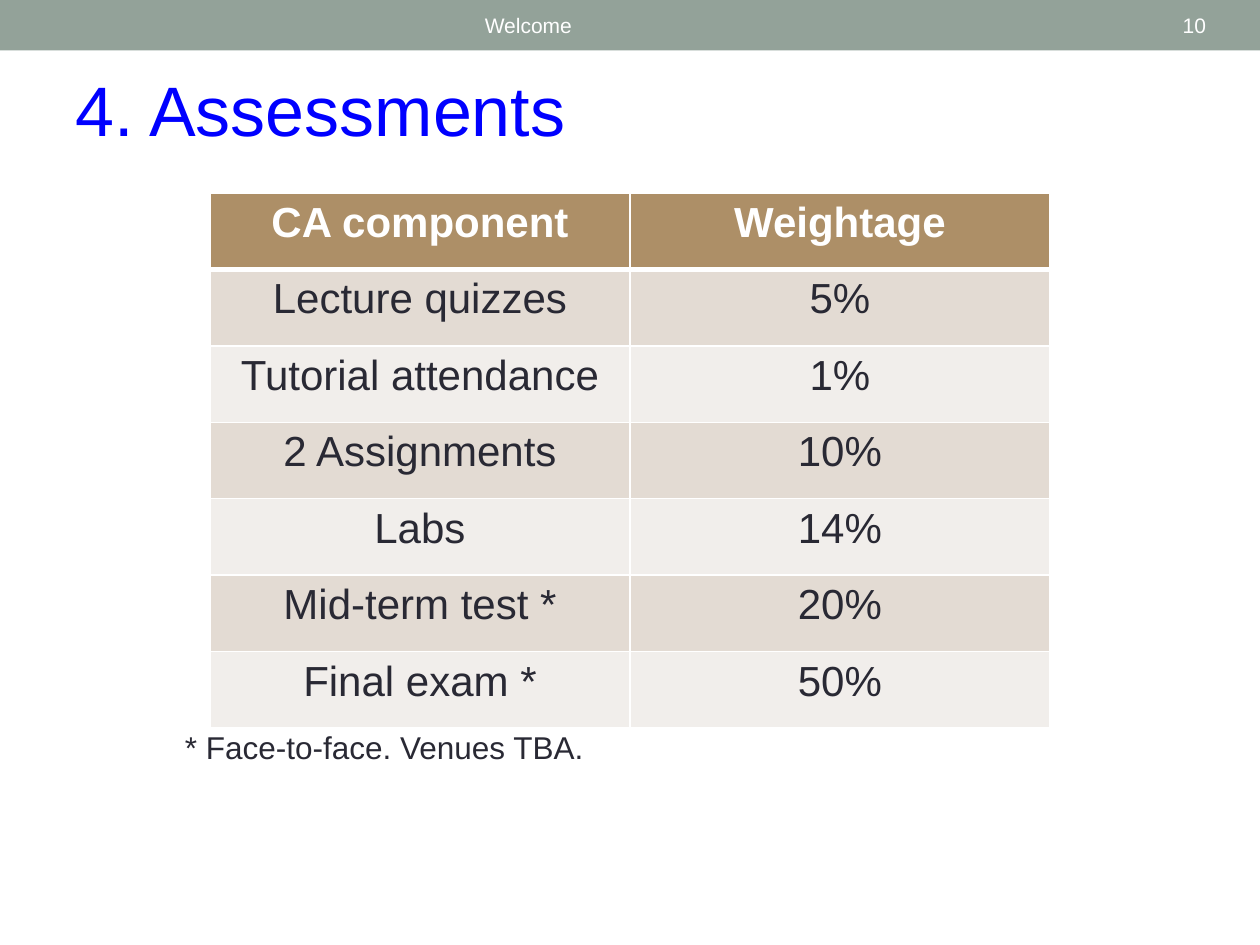
from dataclasses import dataclass

from lxml import etree
from pptx import Presentation
from pptx.dml.color import RGBColor
from pptx.enum.shapes import MSO_SHAPE
from pptx.enum.text import MSO_ANCHOR, PP_ALIGN
from pptx.oxml.ns import qn
from pptx.util import Inches, Pt

LEFT, CENTER, RIGHT = PP_ALIGN.LEFT, PP_ALIGN.CENTER, PP_ALIGN.RIGHT
TOP, MIDDLE = MSO_ANCHOR.TOP, MSO_ANCHOR.MIDDLE
RECTANGLE = MSO_SHAPE.RECTANGLE

WIDTH, HEIGHT = 10, 7.5
FONT = "Arial"
WHITE, INK, BLUE = "FFFFFF", "292934", "0000FF"
SAGE, BROWN = "93A299", "AD8F67"
BANDS = ("E3DBD3", "F1EEEB")

# The table spans the middle four of six slide columns
COLUMN = WIDTH / 6
TABLE_TOP, ROW_HEIGHT = 1.53, 4.25 / 7
ASSESSMENTS = [
    ("CA component", "Weightage"),
    ("Lecture quizzes", "5%"),
    ("Tutorial attendance", "1%"),
    ("2 Assignments", "10%"),
    ("Labs", "14%"),
    ("Mid-term test *", "20%"),
    ("Final exam *", "50%"),
]


@dataclass
class Label:
    text: str
    left: float
    top: float
    width: float
    height: float
    size: float
    color: str
    align: PP_ALIGN = LEFT
    anchor: MSO_ANCHOR = TOP


LABELS = [
    Label("Welcome", 3.75, 0.02, 4.5, 0.36, 12, WHITE, anchor=MIDDLE),
    Label("10", 8.48, 0.02, 1.19, 0.36, 12, WHITE, RIGHT, MIDDLE),
    Label("4. Assessments", 0.5, 0.48, 9, 0.77, 40, BLUE),
    Label("* Face-to-face. Venues TBA.", 1.37, 5.73, 7.57, 0.4, 18, INK),
]


def paint(fill, color: str) -> None:
    fill.solid()
    fill.fore_color.rgb = RGBColor.from_string(color)


def write(frame, text: str, size: float, color: str,
          align: PP_ALIGN, bold: bool = False) -> None:
    frame.text = text
    para = frame.paragraphs[0]
    para.alignment = align
    font = para.runs[0].font
    font.name, font.size, font.bold = FONT, Pt(size), bold
    font.color.rgb = RGBColor.from_string(color)


def add_label(page, label: Label) -> None:
    box = page.shapes.add_textbox(
        Inches(label.left), Inches(label.top), Inches(label.width), Inches(label.height))
    frame = box.text_frame
    frame.word_wrap = True
    frame.vertical_anchor = label.anchor
    write(frame, label.text, label.size, label.color, label.align)


def add_border(cell, side: str, points: float) -> None:
    properties = cell._tc.get_or_add_tcPr()
    line = etree.SubElement(properties, qn(f"a:ln{side}"), w=str(Pt(points)))
    fill = etree.SubElement(line, qn("a:solidFill"))
    etree.SubElement(fill, qn("a:srgbClr"), val=WHITE)


def add_assessment_table(page) -> None:
    row_count, column_count = len(ASSESSMENTS), len(ASSESSMENTS[0])
    table = page.shapes.add_table(
        row_count, column_count, Inches(COLUMN), Inches(TABLE_TOP),
        Inches(2 * COLUMN * column_count), Inches(ROW_HEIGHT * row_count)).table
    for row, values in enumerate(ASSESSMENTS):
        header = row == 0
        for column, value in enumerate(values):
            cell = table.cell(row, column)
            # A thick rule parts the header from the first row
            for side in "LRTB":
                thick = (row, side) in ((0, "B"), (1, "T"))
                add_border(cell, side, 3 if thick else 1)
            paint(cell.fill, BROWN if header else BANDS[(row - 1) % 2])
            write(cell.text_frame, value, 24, WHITE if header else INK, CENTER, header)


def main() -> None:
    deck = Presentation()
    deck.slide_width, deck.slide_height = Inches(WIDTH), Inches(HEIGHT)
    page = deck.slides.add_slide(deck.slide_layouts[6])
    paint(page.background.fill, WHITE)

    # Header band
    band = page.shapes.add_shape(RECTANGLE, 0, 0, Inches(WIDTH), Inches(0.4))
    band.shadow.inherit = False
    paint(band.fill, SAGE)
    band.line.fill.background()

    # Table, then the texts around it
    add_assessment_table(page)
    for label in LABELS:
        add_label(page, label)

    deck.save("out.pptx")


if __name__ == "__main__":
    main()
